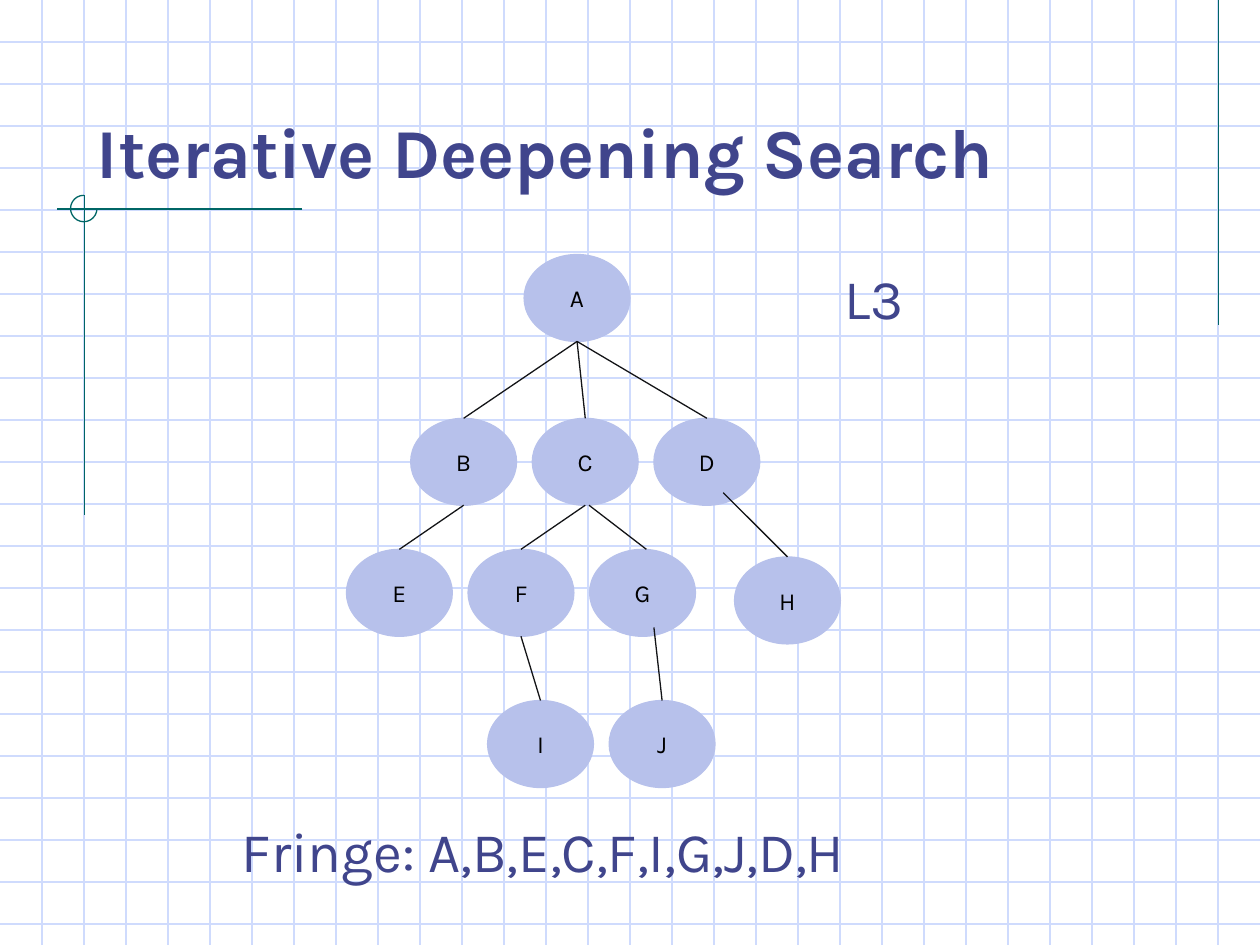
from dataclasses import dataclass
from typing import NamedTuple

from lxml.etree import SubElement
from pptx import Presentation
from pptx.dml.color import RGBColor
from pptx.enum.shapes import MSO_CONNECTOR, MSO_SHAPE
from pptx.enum.text import MSO_ANCHOR, PP_ALIGN
from pptx.oxml.ns import qn
from pptx.util import Inches, Pt


@dataclass(frozen=True)
class Theme:
    font: str = "Karla"
    background: RGBColor = RGBColor(0xFF, 0xFF, 0xFF)
    grid: RGBColor = RGBColor(0xCF, 0xDB, 0xFD)
    accent: RGBColor = RGBColor(0x00, 0x66, 0x66)
    heading: RGBColor = RGBColor(0x40, 0x45, 0x8C)
    node: RGBColor = RGBColor(0xB7, 0xC1, 0xEB)
    label: RGBColor = RGBColor(0, 0, 0)
    edge: RGBColor = RGBColor(0x13, 0x14, 0x17)
    line_width: float = 0.75
    title_size: int = 40
    note_size: int = 32
    label_size: int = 14


class Node(NamedTuple):
    name: str
    left: float
    top: float


class Edge(NamedTuple):
    parent: str
    child: str
    start_shift: tuple[float, float] = (0, 0)
    end_shift: float = 0


class Note(NamedTuple):
    text: str
    left: float
    top: float
    width: float
    height: float
    size: int
    bold: bool = False
    anchor: MSO_ANCHOR = MSO_ANCHOR.TOP
    margin: float = 0.1


THEME = Theme()
WIDTH, HEIGHT = 10, 7.5
GRID_STEP = 1 / 3
NODE_WIDTH, NODE_HEIGHT = 0.84, 0.69
SIBLING_STEP = 0.965


def node_row(names: str, left: float, top: float) -> list[Node]:
    return [Node(name, left + index * SIBLING_STEP, top) for index, name in enumerate(names)]


NODES = [
    Node("A", 4.16, 2.02),
    *node_row("BCD", 3.26, 3.32),
    *node_row("EFG", 2.75, 4.36),
    Node("H", 5.83, 4.42),
    *node_row("IJ", 3.87, 5.56),
]
EDGES = [
    Edge("A", "B"),
    Edge("A", "C"),
    Edge("A", "D"),
    Edge("B", "E"),
    Edge("C", "F"),
    Edge("C", "G", (0.03, 0), 0.03),
    Edge("D", "H", (0.13, -0.1)),
    Edge("F", "I"),
    Edge("G", "J", (0.09, -0.07)),
]
NOTES = [
    Note("Iterative Deepening Search", 0.67, 0.33, 8.5, 1.25,
         THEME.title_size, True, MSO_ANCHOR.BOTTOM, 0.05),
    Note("L3", 6.6, 1.99, 1.89, 0.74, THEME.note_size),
    Note("Fringe: A,B,E,C,F,I,G,J,D,H", 1.82, 6.38, 6.36, 0.74, THEME.note_size),
]


def add_line(page, start: tuple[float, float], end: tuple[float, float], color: RGBColor):
    line = page.shapes.add_connector(
        MSO_CONNECTOR.STRAIGHT, *(Inches(value) for value in (*start, *end)))
    line.line.color.rgb = color
    line.line.width = Pt(THEME.line_width)
    SubElement(line._element.spPr, qn("a:effectLst"))
    return line


def add_span(para, text: str, size: int, color: RGBColor, bold: bool = False) -> None:
    span = para.add_run()
    span.text = text
    span.font.name = THEME.font
    span.font.size = Pt(size)
    span.font.bold = bold
    span.font.color.rgb = color


def add_backdrop(page) -> None:
    page.background.fill.solid()
    page.background.fill.fore_color.rgb = THEME.background
    for step in range(1, int(HEIGHT / GRID_STEP) + 1):
        add_line(page, (0, step * GRID_STEP), (WIDTH, step * GRID_STEP), THEME.grid)
    for step in range(1, int(WIDTH / GRID_STEP)):
        add_line(page, (step * GRID_STEP, 0), (step * GRID_STEP, HEIGHT), THEME.grid)
    add_line(page, (9.67, 0), (9.67, 2.58), THEME.accent)
    add_line(page, (2.4, 1.66), (0.45, 1.66), THEME.accent)
    add_line(page, (0.67, 1.55), (0.67, 4.09), THEME.accent)
    arc = page.shapes.add_shape(
        MSO_SHAPE.ARC, Inches(0.56), Inches(1.55), Inches(0.21), Inches(0.21))
    arc.shadow.inherit = False
    arc.adjustments[0] = 0
    arc.adjustments[1] = 162
    arc.fill.background()
    arc.line.color.rgb = THEME.accent
    arc.line.width = Pt(THEME.line_width)


def add_node(page, node: Node):
    oval = page.shapes.add_shape(
        MSO_SHAPE.OVAL, Inches(node.left), Inches(node.top),
        Inches(NODE_WIDTH), Inches(NODE_HEIGHT))
    oval.shadow.inherit = False
    oval.fill.solid()
    oval.fill.fore_color.rgb = THEME.node
    oval.line.color.rgb = THEME.node
    oval.line.width = Pt(THEME.line_width)
    frame = oval.text_frame
    frame.margin_left = frame.margin_right = Inches(0.1)
    frame.margin_top = frame.margin_bottom = Inches(0.1)
    frame.vertical_anchor = MSO_ANCHOR.MIDDLE
    para = frame.paragraphs[0]
    para.alignment = PP_ALIGN.CENTER
    add_span(para, node.name, THEME.label_size, THEME.label)
    return oval


def add_edge(page, edge: Edge, parent: Node, child: Node, child_oval) -> None:
    shift_x, shift_y = edge.start_shift
    start = (parent.left + NODE_WIDTH / 2 + shift_x, parent.top + NODE_HEIGHT + shift_y)
    end = (child.left + NODE_WIDTH / 2 + edge.end_shift, child.top)
    line = add_line(page, start, end, THEME.edge)
    if not edge.end_shift:
        line.end_connect(child_oval, 0)


def add_note(page, note: Note) -> None:
    box = page.shapes.add_textbox(
        Inches(note.left), Inches(note.top), Inches(note.width), Inches(note.height))
    frame = box.text_frame
    frame.word_wrap = True
    frame.vertical_anchor = note.anchor
    frame.margin_left = frame.margin_right = Inches(0.1)
    frame.margin_top = frame.margin_bottom = Inches(note.margin)
    add_span(frame.paragraphs[0], note.text, note.size, THEME.heading, note.bold)


def main() -> None:
    deck = Presentation()
    deck.slide_width, deck.slide_height = Inches(WIDTH), Inches(HEIGHT)
    page = deck.slides.add_slide(deck.slide_layouts[6])
    add_backdrop(page)
    nodes = {node.name: node for node in NODES}
    ovals = {node.name: add_node(page, node) for node in NODES}
    for edge in EDGES:
        add_edge(page, edge, nodes[edge.parent], nodes[edge.child], ovals[edge.child])
    for note in NOTES:
        add_note(page, note)
    deck.save("out.pptx")


if __name__ == "__main__":
    main()
